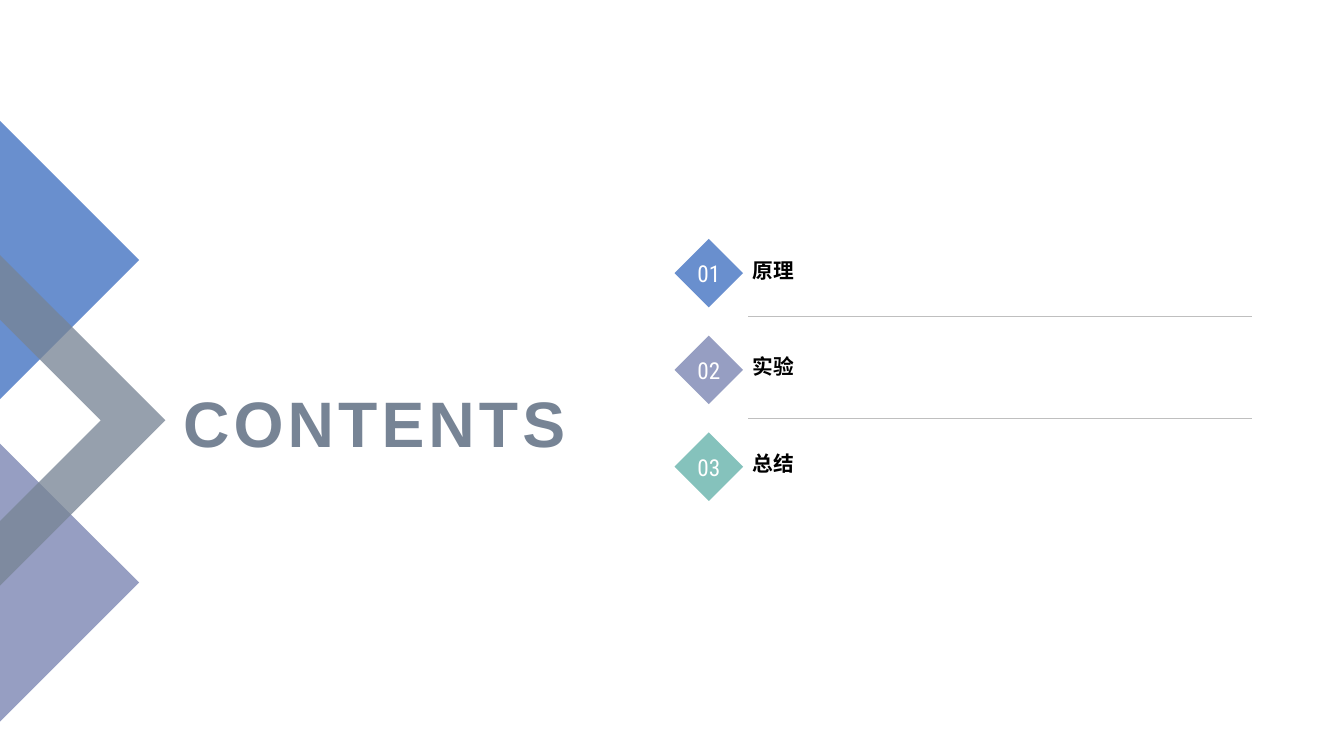
from lxml import etree
from pptx import Presentation
from pptx.dml.color import RGBColor
from pptx.enum.shapes import MSO_CONNECTOR, MSO_SHAPE
from pptx.enum.text import MSO_ANCHOR, MSO_AUTO_SIZE, PP_ALIGN
from pptx.oxml.ns import qn
from pptx.util import Inches, Pt

BLUE, LILAC, GREEN = "698FCE", "969EC2", "85C2BC"
SLATE, GRAY, WHITE, BLACK = "778495", "BFBFBF", "FFFFFF", "000000"
CHAPTERS = [("01", "原理", BLUE), ("02", "实验", LILAC), ("03", "总结", GREEN)]


def color(value):
    return RGBColor.from_string(value)


def fill_shape(shape, value):
    shape.shadow.inherit = False
    shape.fill.solid()
    shape.fill.fore_color.rgb = color(value)
    shape.line.fill.background()


def write_text(shape, text, size, font_name, value, align, anchor, bold=False, wrap=True):
    frame = shape.text_frame
    frame.text = text
    frame.auto_size = MSO_AUTO_SIZE.NONE
    frame.word_wrap = wrap
    frame.vertical_anchor = anchor
    paragraph = frame.paragraphs[0]
    paragraph.alignment = align
    font = paragraph.runs[0].font
    font.size, font.name, font.bold = Pt(size), font_name, bold
    font.color.rgb = color(value)


def add_polygon(slide, points, value):
    corners = [(Inches(x), Inches(y)) for x, y in points]
    builder = slide.shapes.build_freeform(*corners[0])
    builder.add_line_segments(corners[1:], close=True)
    shape = builder.convert_to_shape()
    fill_shape(shape, value)
    return shape


def add_edge_decoration(slide, left, middle):
    # Two triangles, above and below the middle
    reach = 1.44
    for center, value in [(middle + 1.61, LILAC), (middle - 1.59, BLUE)]:
        add_polygon(slide, [(left, center - reach), (left + reach, center),
                            (left, center + reach)], value)

    # Translucent chevron over both
    outer, inner = 1.7, 1.06
    chevron = add_polygon(slide, [
        (left, middle - outer), (left + outer, middle), (left, middle + outer),
        (left, middle + inner), (left + inner, middle), (left, middle - inner)], SLATE)
    fill_color = chevron.fill._xPr.find(qn("a:solidFill"))[0]
    etree.SubElement(fill_color, qn("a:alpha"), val="77000")


def place_title(slide, left, top, width, height):
    title = slide.shapes.title
    title.left, title.top = Inches(left), Inches(top)
    title.width, title.height = Inches(width), Inches(height)
    write_text(title, "CONTENTS", 45.9, "Arial", SLATE,
               PP_ALIGN.RIGHT, MSO_ANCHOR.MIDDLE, bold=True)
    title.text_frame.paragraphs[0].runs[0].font._element.set("spc", "300")


def add_chapter(slide, left, top, number, name, value):
    # Numbered diamond
    side = 0.68
    diamond = slide.shapes.add_shape(
        MSO_SHAPE.DIAMOND, Inches(left), Inches(top), Inches(side), Inches(side))
    fill_shape(diamond, value)
    write_text(diamond, number, 16.6, "Roboto Condensed", WHITE,
               PP_ALIGN.CENTER, MSO_ANCHOR.MIDDLE, wrap=False)

    # Chapter name
    label = slide.shapes.add_textbox(
        Inches(left + side), Inches(top + 0.15), Inches(4.33), Inches(0.33))
    write_text(label, name, 14.8, "Arial", BLACK,
               PP_ALIGN.LEFT, MSO_ANCHOR.BOTTOM, bold=True)


def add_divider(slide, left, top, width):
    line = slide.shapes.add_connector(
        MSO_CONNECTOR.STRAIGHT, Inches(left), Inches(top), Inches(left + width), Inches(top))
    line.line.color.rgb = color(GRAY)
    line.line.width = Pt(0.25)
    etree.SubElement(line._element.spPr, qn("a:effectLst"))


def add_chapter_list(slide, left, top):
    for index, chapter in enumerate(CHAPTERS):
        add_chapter(slide, left, top + index * 0.96, *chapter)
    for index in range(len(CHAPTERS) - 1):
        add_divider(slide, left + 0.73, top + 0.77 + index * 1.01, 5)


def main():
    presentation = Presentation()
    presentation.slide_width, presentation.slide_height = Inches(13.33), Inches(7.5)
    slide = presentation.slides.add_slide(presentation.slide_layouts[5])
    slide.background.fill.solid()
    slide.background.fill.fore_color.rgb = color(WHITE)

    add_edge_decoration(slide, -0.06, 4.17)
    place_title(slide, 1.62, 3.68, 4.09, 1.01)
    add_chapter_list(slide, 6.69, 2.37)
    presentation.save("out.pptx")


if __name__ == "__main__":
    main()
